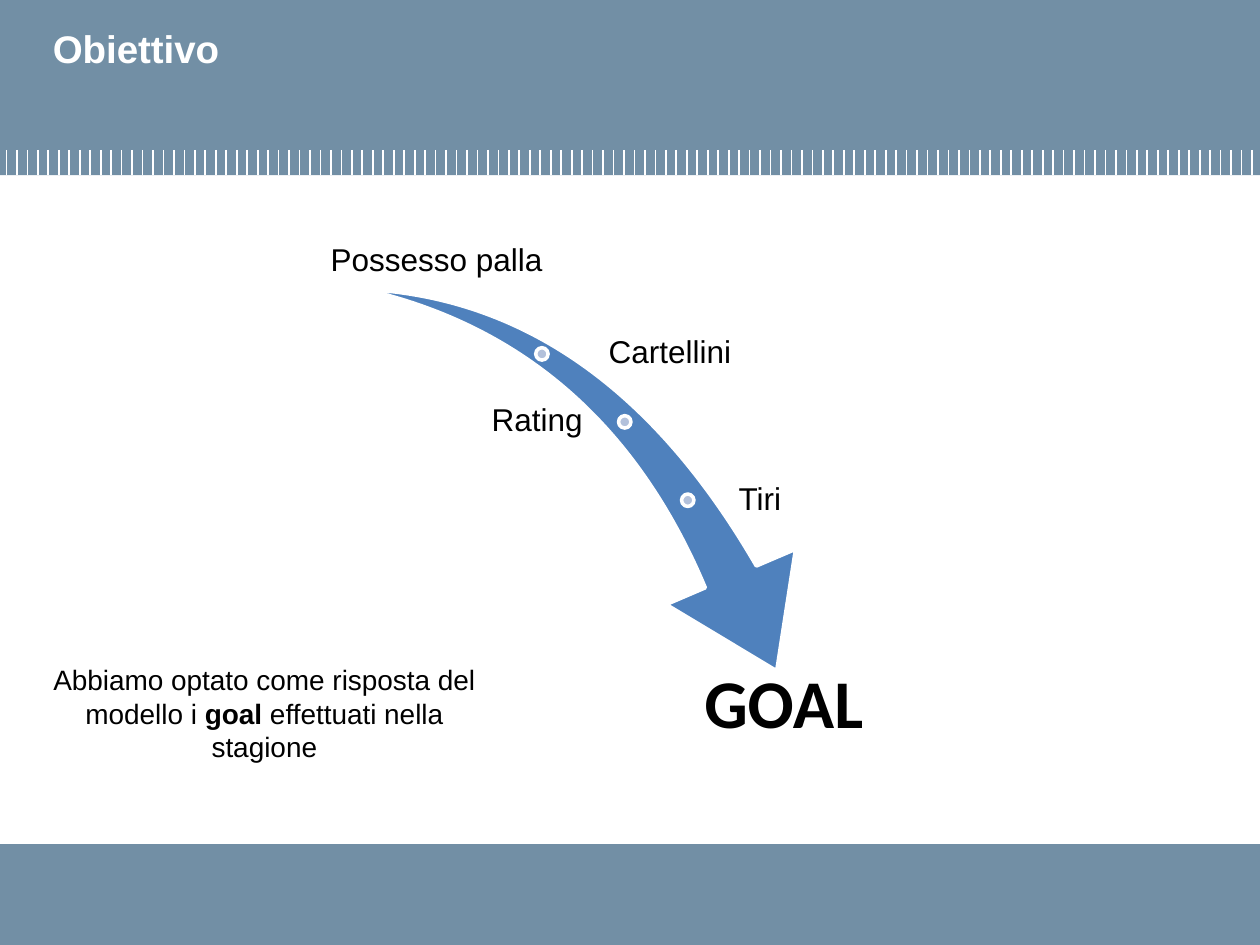
import pptx
import pptx.util
import pptx.dml.color
import pptx.enum.shapes
import pptx.enum.text
import pptx.oxml.ns
import lxml.etree

Cm = pptx.util.Cm
Pt = pptx.util.Pt
RGB = pptx.dml.color.RGBColor
SHAPE = pptx.enum.shapes.MSO_SHAPE
ALIGN = pptx.enum.text.PP_ALIGN
ANCHOR = pptx.enum.text.MSO_ANCHOR

SLATE = RGB(0x72, 0x8F, 0xA5)
BLUE = RGB(0x4F, 0x81, 0xBD)
PALE = RGB(0xB3, 0xC1, 0xDB)
WHITE = RGB(0xFF, 0xFF, 0xFF)
BLACK = RGB(0x00, 0x00, 0x00)

SLIDE_W, SLIDE_H = 25.4, 19.05
HEADER_H, FOOTER_H = 3.53, 2.03
TICK_TOP, TICK_COUNT = 3.02, 120
TICK_FIRST, TICK_LAST = 0.13, 25.24
DOT = 0.25
LABEL_H = 1.8


class Deck:
    font = "Arial"

    def __init__(self):
        self.prs = pptx.Presentation()
        self.prs.slide_width = Cm(SLIDE_W)
        self.prs.slide_height = Cm(SLIDE_H)
        self.s = self.prs.slides.add_slide(self.prs.slide_layouts[1])

    def shape(self, kind, box, fill, line=None, width=2):
        sp = self.s.shapes.add_shape(kind, *map(Cm, box))
        sp.shadow.inherit = False
        sp.fill.solid()
        sp.fill.fore_color.rgb = fill
        if line is None:
            sp.line.fill.background()
        else:
            sp.line.color.rgb = line
            sp.line.width = Pt(width)
        return sp

    def tick(self, x, top, bottom):
        cx = self.s.shapes.add_connector(
            pptx.enum.shapes.MSO_CONNECTOR.STRAIGHT, Cm(x), Cm(top), Cm(x), Cm(bottom))
        cx.line.color.rgb = WHITE
        cx.line.width = Pt(1)
        lxml.etree.SubElement(cx._element.spPr, pptx.oxml.ns.qn("a:effectLst"))

    def add_runs(self, tf, runs, size, color, align, anchor, font=None):
        tf.word_wrap = True
        tf.auto_size = pptx.enum.text.MSO_AUTO_SIZE.NONE
        tf.vertical_anchor = anchor
        p = tf.paragraphs[0]
        p.alignment = align
        for text, bold in runs:
            r = p.add_run()
            r.text = text
            r.font.name = font or self.font
            r.font.size = Pt(size)
            r.font.bold = bold
            r.font.color.rgb = color
        return p

    def placeholder(self, idx, box, runs, size, color, align):
        sp = self.s.placeholders[idx]
        sp.left, sp.top, sp.width, sp.height = map(Cm, box)
        p = self.add_runs(sp.text_frame, runs, size, color, align, ANCHOR.TOP)
        p.space_before = Pt(0)
        pPr = p._p.get_or_add_pPr()
        pPr.set("marL", "0")
        pPr.set("indent", "0")
        lxml.etree.SubElement(pPr, pptx.oxml.ns.qn("a:buNone"))
        self.s.shapes._spTree.append(sp._element)

    def label(self, x, y, w, text, align, anchor, size=18, bold=False, font=None, inset=0.08):
        sp = self.s.shapes.add_textbox(Cm(x), Cm(y), Cm(w), Cm(LABEL_H))
        tf = sp.text_frame
        tf.margin_left = tf.margin_right = tf.margin_top = tf.margin_bottom = Cm(inset)
        p = self.add_runs(tf, [(text, bold)], size, BLACK, align, anchor, font)
        p.line_spacing = 0.9


def main():
    deck = Deck()
    deck.shape(SHAPE.RECTANGLE, (0, 0, SLIDE_W, HEADER_H), SLATE)
    deck.shape(SHAPE.RECTANGLE, (0, SLIDE_H - FOOTER_H, SLIDE_W, FOOTER_H), SLATE)
    step = (TICK_LAST - TICK_FIRST) / (TICK_COUNT - 1)
    for i in range(TICK_COUNT):
        deck.tick(TICK_FIRST + i * step, TICK_TOP, HEADER_H)

    deck.placeholder(0, (0.81, 0.38, 23.83, 2.34), [("Obiettivo", True)],
                     22, WHITE, ALIGN.LEFT)
    deck.placeholder(1, (0.81, 13.23, 9.04, 12.57),
                     [("Abbiamo optato come risposta del modello i ", False),
                      ("goal", True),
                      (" effettuati nella stagione", False)],
                     16, BLACK, ALIGN.CENTER)

    arrow = deck.shape(SHAPE.SWOOSH_ARROW, (7.14, 6.12, 9.75, 6.81), BLUE, WHITE)
    arrow.rotation = 73.3
    arrow.adjustments[0] = 0.163
    arrow.adjustments[1] = 0.314
    for x, y in [(10.8, 7.01), (12.47, 8.38), (13.74, 9.96)]:
        deck.shape(SHAPE.OVAL, (x, y, DOT, DOT), PALE, WHITE)

    deck.label(6.5, 3.89, 4.6, "Possesso palla", ALIGN.CENTER, ANCHOR.BOTTOM)
    deck.label(12.19, 6.22, 6.71, "Cartellini", ALIGN.LEFT, ANCHOR.MIDDLE)
    deck.label(6.5, 7.59, 5.33, "Rating", ALIGN.RIGHT, ANCHOR.MIDDLE)
    deck.label(14.81, 9.19, 4.09, "Tiri", ALIGN.LEFT, ANCHOR.MIDDLE)
    deck.label(12.7, 13.36, 6.2, "GOAL", ALIGN.CENTER, ANCHOR.TOP,
               size=39, bold=True, font="Calibri", inset=0.13)

    deck.prs.save("out.pptx")


if __name__ == "__main__":
    main()
